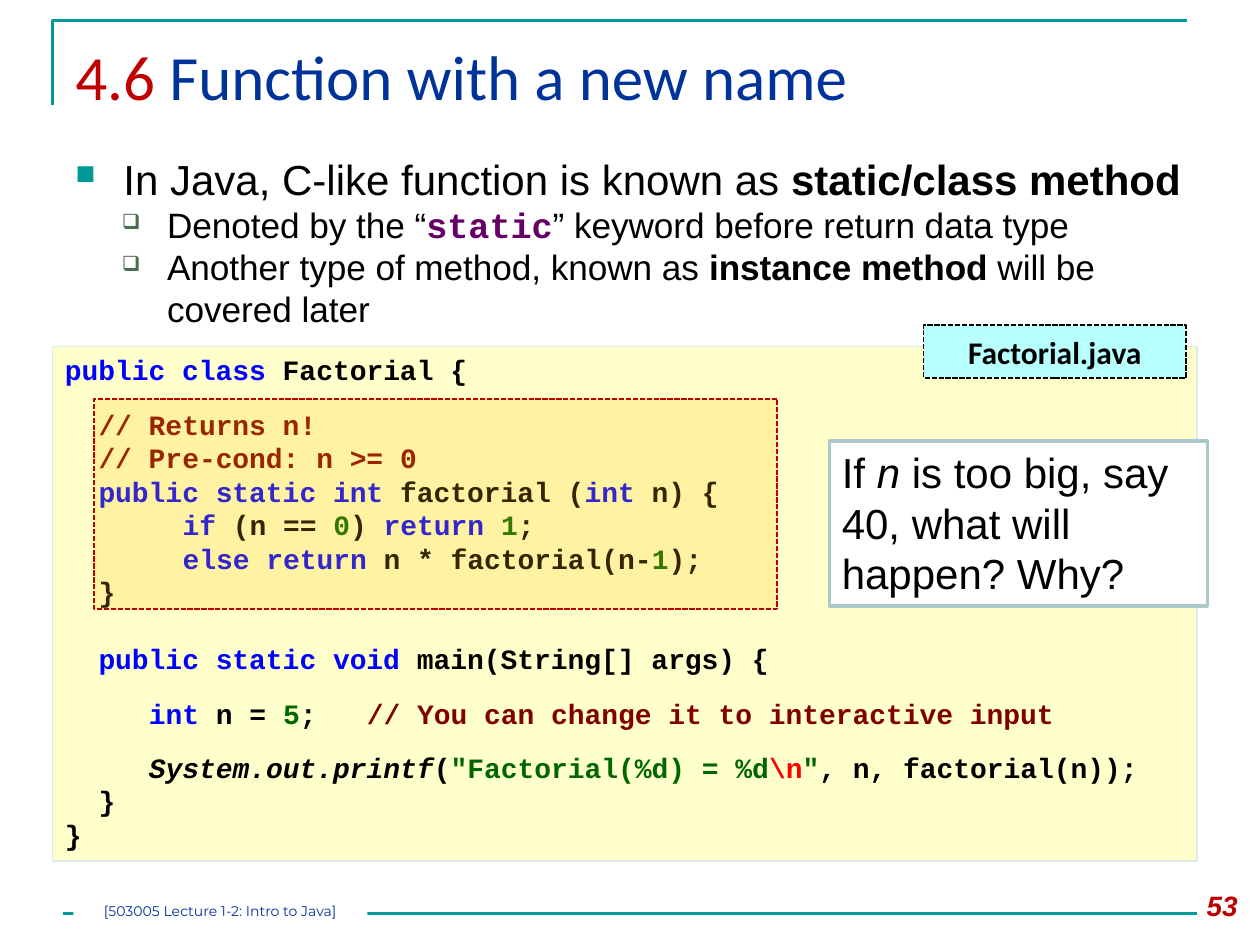
import pptx
import pptx.dml.color
import pptx.enum.dml
import pptx.enum.shapes
import pptx.enum.text
import pptx.oxml.ns
import pptx.util
import lxml.etree
from dataclasses import dataclass
from typing import Optional

Cm = pptx.util.Cm
Pt = pptx.util.Pt
qn = pptx.oxml.ns.qn
Align = pptx.enum.text.PP_ALIGN
Anchor = pptx.enum.text.MSO_ANCHOR


@dataclass(frozen=True)
class Theme:
    teal: str = "009999"
    navy: str = "003399"
    red: str = "C00000"
    black: str = "000000"
    white: str = "FFFFFF"
    sage: str = "4C6D4E"
    plum: str = "660066"
    blue: str = "0000FF"
    green: str = "006600"
    maroon: str = "800000"
    bright: str = "FF0000"
    cream: str = "FFFFCC"
    mist: str = "DDEAEA"
    amber: str = "FFC000"
    aqua: str = "B8FFFF"
    rim: str = "AACACA"
    sans: str = "Arial"
    head: str = "Calibri"
    mono: str = "Courier New"
    small: str = "Montserrat"
    title: float = 36
    large: float = 24
    mid: float = 20.1
    label: float = 18
    code: float = 16
    foot: float = 8


T = Theme()
PITCH = 1.195  # line height as a share of type size
CHAR = 0.6  # width of a mono letter as a share of type size


@dataclass(frozen=True)
class Run:
    text: str
    color: str = T.black
    bold: bool = False
    ital: bool = False
    font: str = T.sans
    space: float = 0


@dataclass(frozen=True)
class Bullet:
    mark: str
    color: str
    scale: int
    hang: float


@dataclass(frozen=True)
class Line:
    runs: list[Run]
    size: float
    left: float = 0
    gap: float = 0
    level: int = 0
    bullet: Optional[Bullet] = None
    align: Optional[Align] = None
    fixed: bool = True


@dataclass(frozen=True)
class Box:
    left: float
    top: float
    width: float
    height: float
    fill: Optional[str] = None
    edge: Optional[str] = None
    weight: float = 1
    dash: bool = False
    alpha: int = 100
    anchor: Anchor = Anchor.TOP
    inset: bool = True


def rgb(color: str) -> pptx.dml.color.RGBColor:
    return pptx.dml.color.RGBColor.from_string(color)


def add_mark(props, mark: Bullet) -> None:
    props.set("indent", str(-Cm(mark.hang)))
    tint = lxml.etree.SubElement(props, qn("a:buClr"))
    lxml.etree.SubElement(tint, qn("a:srgbClr"), val=mark.color)
    lxml.etree.SubElement(props, qn("a:buSzPct"), val=str(mark.scale * 1000))
    lxml.etree.SubElement(props, qn("a:buChar"), char=mark.mark)


def write(shape, lines: list[Line], box: Box) -> None:
    frame = shape.text_frame
    frame.word_wrap = True
    frame.vertical_anchor = box.anchor
    if not box.inset:
        frame.margin_left = frame.margin_right = 0
        frame.margin_top = frame.margin_bottom = 0
    for num, line in enumerate(lines):
        para = frame.add_paragraph() if num else frame.paragraphs[0]
        para.alignment = line.align or Align.LEFT
        para.level = line.level
        para.space_before = Pt(line.gap)
        if line.fixed:
            para.line_spacing = Pt(line.size * PITCH)
        props = para._p.get_or_add_pPr()
        props.set("marL", str(Cm(line.left)))
        if line.bullet:
            add_mark(props, line.bullet)
        for part in line.runs:
            run = para.add_run()
            run.text = part.text
            font = run.font
            font.name, font.size = part.font, Pt(line.size)
            font.bold, font.italic = part.bold, part.ital
            font.color.rgb = rgb(part.color)
            if part.space:
                run._r.get_or_add_rPr().set("spc", str(round(part.space * 100)))


def add_box(slide, box: Box, lines: Optional[list[Line]] = None) -> None:
    place = [Cm(n) for n in (box.left, box.top, box.width, box.height)]
    if box.fill:
        shape = slide.shapes.add_shape(pptx.enum.shapes.MSO_SHAPE.RECTANGLE, *place)
        shape.shadow.inherit = False
        shape.fill.solid()
        shape.fill.fore_color.rgb = rgb(box.fill)
        if box.alpha < 100:
            tint = shape.element.spPr.find(qn("a:solidFill"))[0]
            lxml.etree.SubElement(tint, qn("a:alpha"), val=str(box.alpha * 1000))
        if box.edge:
            shape.line.color.rgb = rgb(box.edge)
            shape.line.width = Pt(box.weight)
            if box.dash:
                shape.line.dash_style = pptx.enum.dml.MSO_LINE.SQUARE_DOT
        else:
            shape.line.fill.background()
    else:
        shape = slide.shapes.add_textbox(*place)
    if lines:
        write(shape, lines, box)


def add_frame(slide) -> None:
    """Draw the corner rule at the top and the rule at the foot."""
    pen = slide.shapes.build_freeform(Cm(1.06), Cm(2.12))
    pen.add_line_segments([(Cm(1.06), Cm(0.42)), (Cm(23.92), Cm(0.42))], close=False)
    rule = pen.convert_to_shape()
    rule.shadow.inherit = False
    rule.fill.background()
    foot = slide.shapes.add_connector(pptx.enum.shapes.MSO_CONNECTOR.STRAIGHT,
                                      Cm(1.27), Cm(18.41), Cm(24.13), Cm(18.41))
    lxml.etree.SubElement(foot._element.spPr, qn("a:effectLst"))
    for item in (rule, foot):
        item.line.color.rgb = rgb(T.teal)
        item.line.width = Pt(1.5)


def code(text: str, color: str = T.black, ital: bool = False, space: float = 0) -> Run:
    return Run(text, color, True, ital, T.mono, space)


def key(text: str) -> Run:
    return code(text, T.blue)


def lit(text: str) -> Run:
    return code(text, T.green)


def note(text: str) -> Run:
    return code(text, T.maroon)


def row(chars: int, *runs: Run, gap: float = 0) -> Line:
    """One code line, set in by a count of letters."""
    left = Pt(chars * CHAR * T.code).cm
    return Line(list(runs), T.code, left, gap * PITCH)


def main() -> None:
    deck = pptx.Presentation()
    deck.slide_width, deck.slide_height = Cm(25.4), Cm(19.05)
    slide = deck.slides.add_slide(deck.slide_layouts[6])
    add_frame(slide)

    add_box(slide, Box(1.27, 0.64, 22.86, 2.18), [
        Line([Run("4.6", T.red, font=T.head),
              Run(" Function with a new name", T.navy, font=T.head)], T.title, fixed=False)])

    sub = dict(size=T.mid, left=1.85, level=1, bullet=Bullet("❑", T.sage, 60, 0.91))
    add_box(slide, Box(1.27, 2.97, 22.86, 4.24), [
        Line([Run("In Java, C-like function is known as "),
              Run("static/class method", bold=True)],
             T.large, 0.97, bullet=Bullet("■", T.teal, 65, 0.97)),
        Line([Run("Denoted by the “"), code("static", T.plum),
              Run("” keyword before return data type")], **sub),
        Line([Run("Another type of method, known as "),
              Run("instance method ", bold=True), Run("will be covered later")], **sub)])

    add_box(slide, Box(23.5, 17.78, 1.7, 1.02), [
        Line([Run("53", T.red, True, True)], T.code, align=Align.RIGHT, fixed=False)])

    add_box(slide, Box(1.06, 6.99, 23.07, 10.37, T.cream, T.mist, 0.75), [
        row(0, key("public class"), code(" Factorial {")),
        row(2, note("// Returns n!"), gap=10),
        row(2, note("// Pre-cond: n >= 0")),
        row(2, key("public static int "), code("factorial ("), key("int"), code(" n) {")),
        row(7, key("if"), code(" (n == "), lit("0"), code(") "), key("return "),
            lit("1"), code(";")),
        row(7, key("else return"), code(" n * factorial(n-"), lit("1"), code(");")),
        row(2, code("}")),
        row(2, key("public static void "), code("main(String[] args) {"), gap=T.code),
        row(5, key("int"), code(" n = "), lit("5"), code(";"),
            code(" ", space=2 * CHAR * T.code),
            note("// You can change it to interactive input"), gap=10),
        row(5, code("System.out.printf", ital=True), code("("),
            lit('"Factorial(%d) = %d'), code("\\n", T.bright), lit('"'),
            code(", n, factorial(n));"), gap=10),
        row(2, code("}")),
        row(0, code("}"))])

    add_box(slide, Box(1.9, 8.04, 13.77, 4.24, T.amber, T.red, dash=True, alpha=20))
    add_box(slide, Box(18.62, 6.56, 5.29, 1.06, T.aqua, T.black, dash=True,
                       anchor=Anchor.MIDDLE), [
        Line([Run("Factorial.java", bold=True, font=T.head)], T.label,
             align=Align.CENTER, fixed=False)])
    add_box(slide, Box(16.72, 8.89, 7.62, 3.33, T.white, T.rim, 2), [
        Line([Run("If "), Run("n", ital=True),
              Run(" is too big, say 40, what will happen? Why?")], T.large)])
    add_box(slide, Box(1.48, 18.2, 5.93, 0.42, T.white, inset=False), [
        Line([Run("[503005 Lecture 1-2: Intro to Java]", T.navy, font=T.small)],
             T.foot, align=Align.CENTER, fixed=False)])
    deck.save("out.pptx")


if __name__ == "__main__":
    main()
